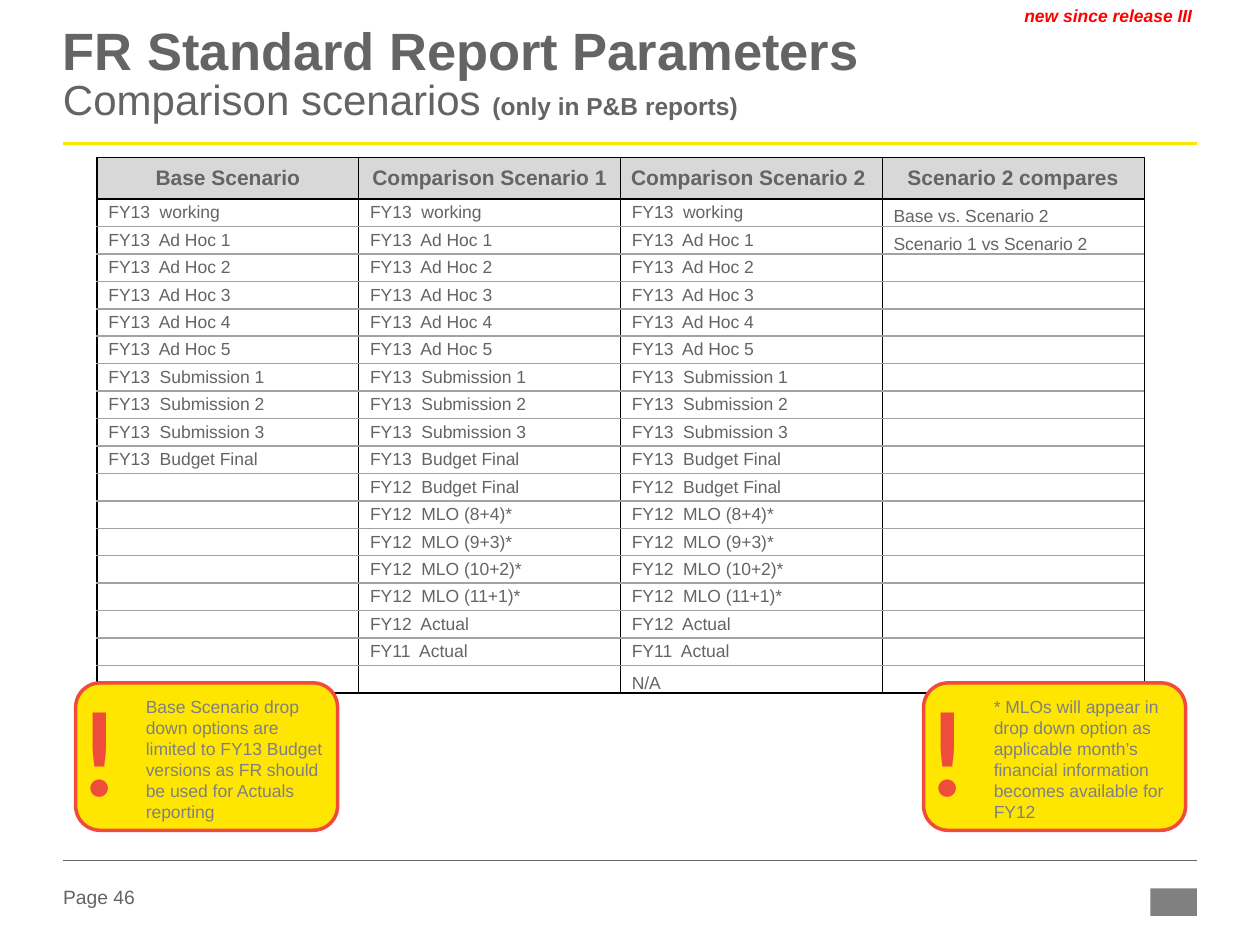
from lxml import etree
from pptx import Presentation
from pptx.dml.color import RGBColor
from pptx.enum import shapes as kinds, text as tx
from pptx.oxml import ns
from pptx.util import Inches, Pt

GREY, YELLOW, RED = "646464", "FFE600", "F04C3E"
BLACK, RULE = "000000", "A2A2A2"


def rgb(value):
    return RGBColor.from_string(value)


def write(frame, paragraphs, size=10, color=GREY, font="Arial", bold=False,
          italic=False, align=tx.PP_ALIGN.LEFT, spacing=None, indent=0,
          anchor=None, margins=(0, 0, 0, 0), wrap=True):
    """Fill a frame; a paragraph is a string or a list of (text, size, bold) runs."""
    frame.word_wrap = wrap
    if anchor is not None:
        frame.vertical_anchor = anchor
    (frame.margin_left, frame.margin_top,
     frame.margin_right, frame.margin_bottom) = [Inches(m) for m in margins]
    for i, content in enumerate(paragraphs):
        para = frame.paragraphs[0] if i == 0 else frame.add_paragraph()
        para.alignment = align
        if spacing:
            para.line_spacing = spacing
        if indent:
            para._p.get_or_add_pPr().set("marL", str(Inches(indent)))
            para._p.get_or_add_pPr().set("indent", "0")
        runs = [(content, size, bold)] if isinstance(content, str) else content
        for words, run_size, run_bold in runs:
            if words == "\n":
                para.add_line_break()
                continue
            run = para.add_run()
            run.text = words
            run.font.size, run.font.name = Pt(run_size), font
            run.font.bold, run.font.italic = run_bold, italic
            run.font.color.rgb = rgb(color)


prs = Presentation()
prs.slide_width, prs.slide_height = Inches(10), Inches(7.5)
slide = prs.slides.add_slide(prs.slide_layouts[6])
items = slide.shapes

# Footer: page number and a plain block as brand mark
page = items.add_textbox(Inches(0.5), Inches(7.01), Inches(0.79), Inches(0.22))
write(page.text_frame, ["Page 46"], size=11, anchor=tx.MSO_ANCHOR.MIDDLE)
mark = items.add_shape(kinds.MSO_SHAPE.RECTANGLE, Inches(9.13), Inches(7.05),
                       Inches(0.37), Inches(0.22))
mark.shadow.inherit = False
mark.fill.solid()
mark.fill.fore_color.rgb = rgb("808080")
mark.line.fill.background()

# Rules under the title and above the footer
for y, color, width in ((1.14, YELLOW, 1.5), (6.83, GREY, 0.25)):
    rule = items.add_connector(kinds.MSO_CONNECTOR.STRAIGHT, Inches(0.5), Inches(y),
                               Inches(9.5), Inches(y))
    rule.line.color.rgb = rgb(color)
    rule.line.width = Pt(width)
    etree.SubElement(rule._element.spPr, ns.qn("a:effectLst"))

# Title
title = items.add_textbox(Inches(0.5), Inches(0.22), Inches(9), Inches(0.94))
write(title.text_frame, [[("FR Standard Report Parameters", 30, True), ("\n", 0, False),
                          ("Comparison scenarios ", 24, False),
                          ("(only in P&B reports)", 14, True)]], spacing=0.85)

# Scenario table: each column is a longer cut of the same list
headers = ["Base Scenario", "Comparison Scenario 1", "Comparison Scenario 2 ",
           "Scenario 2 compares"]
budget = (["FY13  working"] + [f"FY13  Ad Hoc {n}" for n in range(1, 6)]
          + [f"FY13  Submission {n}" for n in range(1, 4)] + ["FY13  Budget Final"])
history = (["FY12  Budget Final"]
           + [f"FY12  MLO ({n}+{12 - n})*" for n in range(8, 12)]
           + ["FY12  Actual", "FY11  Actual"])
options = [budget, budget + history, budget + history + ["N/A"],
           ["Base vs. Scenario 2", "Scenario 1 vs Scenario 2"]]
last = max(len(column) for column in options)

grid = items.add_table(last + 1, 4, Inches(0.77), Inches(1.25),
                       Inches(8.31), Inches(4.25)).table
grid.first_row = grid.horz_banding = False
for column in grid.columns:
    column.width = Inches(8.31 / 4)
for r, row in enumerate(grid.rows):
    row.height = Inches((4.25 - 0.33) / last if r else 0.33)

for c, column in enumerate(options):
    for r in range(last + 1):
        cell = grid.cell(r, c)
        header = r == 0
        words = headers[c] if header else column[r - 1] if r <= len(column) else ""
        low = not header and (c == 3 or words == "N/A")
        if words:
            write(cell.text_frame, [words], size=12 if header else 10, bold=header,
                  align=tx.PP_ALIGN.CENTER if header else tx.PP_ALIGN.LEFT,
                  indent=0 if header else 0.09)
        else:
            # Small type keeps an empty cell from stretching its row
            etree.SubElement(cell.text_frame.paragraphs[0]._p,
                             ns.qn("a:endParaRPr"), sz="1000")
        cell.margin_left = cell.margin_right = cell.margin_top = cell.margin_bottom = 0
        cell.vertical_anchor = tx.MSO_ANCHOR.BOTTOM if low else tx.MSO_ANCHOR.MIDDLE
        # Borders come before the fill in the cell properties
        props = cell._tc.get_or_add_tcPr()
        borders = (("lnL", BLACK, 0.5 if c else 1), ("lnR", BLACK, 0.5),
                   ("lnT", BLACK if r < 2 else RULE, 1),
                   ("lnB", BLACK if r in (0, last) else RULE, 1))
        for side, color, width in borders:
            edge = etree.SubElement(props, ns.qn("a:" + side), w=str(Pt(width)))
            paint = etree.SubElement(edge, ns.qn("a:solidFill"))
            etree.SubElement(paint, ns.qn("a:srgbClr"), val=color)
        if header:
            cell.fill.solid()
            cell.fill.fore_color.rgb = rgb("D8D8D8")
        else:
            cell.fill.background()

# Callouts with an exclamation mark
callouts = (
    (7.33, ["* MLOs will appear in drop down option as applicable month’s",
            "financial information becomes available for FY12"]),
    (0.6, ["Base Scenario drop down options are limited to FY13 Budget versions "
           "as FR should be used for Actuals reporting"]),
)
for x, message in callouts:
    callout = items.add_shape(kinds.MSO_SHAPE.ROUNDED_RECTANGLE, Inches(x), Inches(5.42),
                              Inches(2.08), Inches(1.17))
    callout.shadow.inherit = False
    callout.fill.solid()
    callout.fill.fore_color.rgb = rgb(YELLOW)
    callout.line.color.rgb = rgb(RED)
    callout.line.width = Pt(2)
    write(callout.text_frame, message, color="808080", anchor=tx.MSO_ANCHOR.TOP,
          margins=(0.5, 0.05, 0, 0.05))
    alert = items.add_textbox(Inches(x + 0.06), Inches(5.53), Inches(0.69), Inches(0.78))
    write(alert.text_frame, ["!"], size=66, color=RED, font="Lato", bold=True,
          spacing=0.85, margins=(0, 0.04, 0, 0))

# Release note in the top corner
release = items.add_textbox(Inches(8.12), Inches(0.04), Inches(1.38), Inches(0.17))
write(release.text_frame, ["new since release III"], color="FF0000", bold=True,
      italic=True, align=tx.PP_ALIGN.RIGHT, margins=(0, 0, 0.04, 0), wrap=False)

prs.save("out.pptx")
